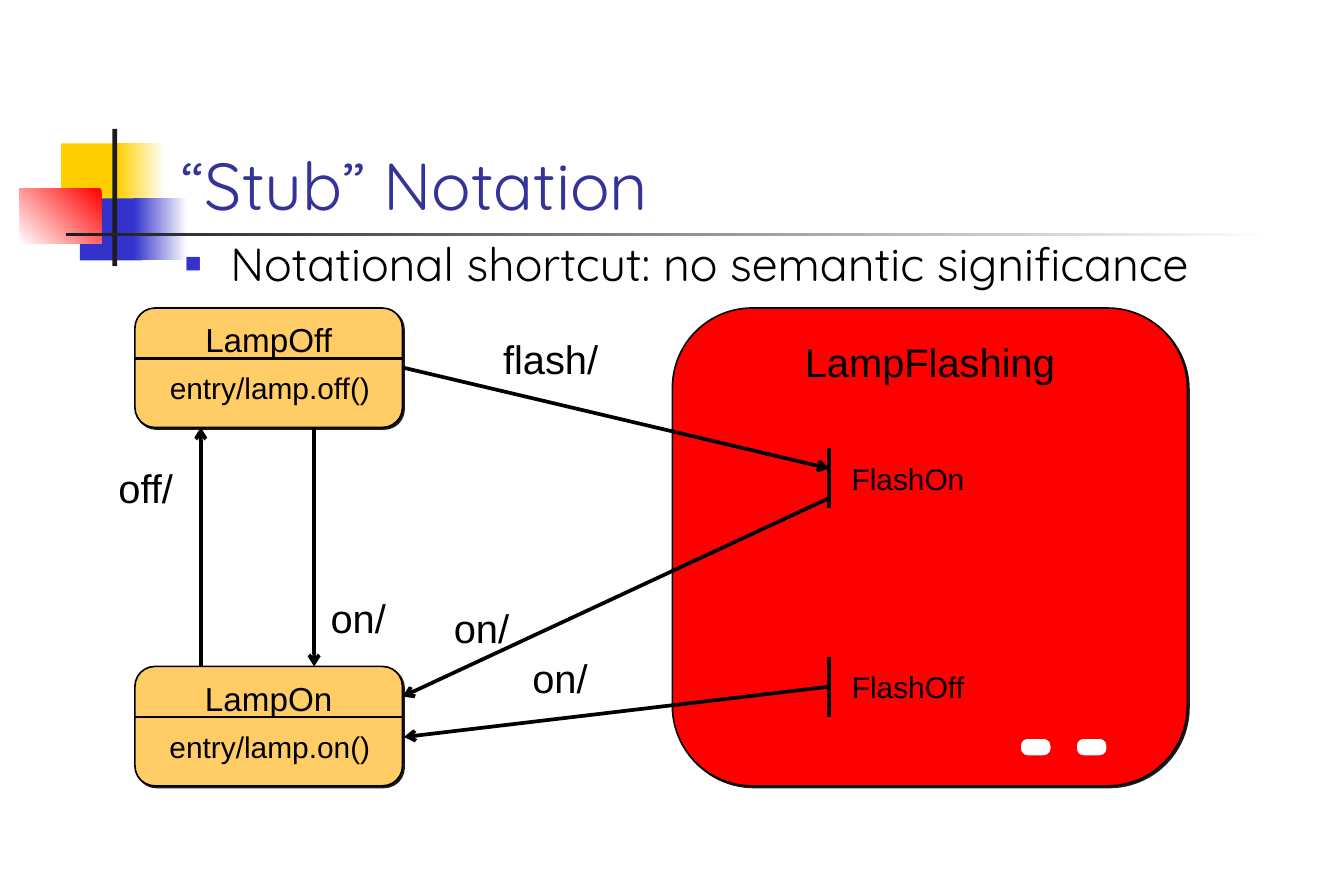
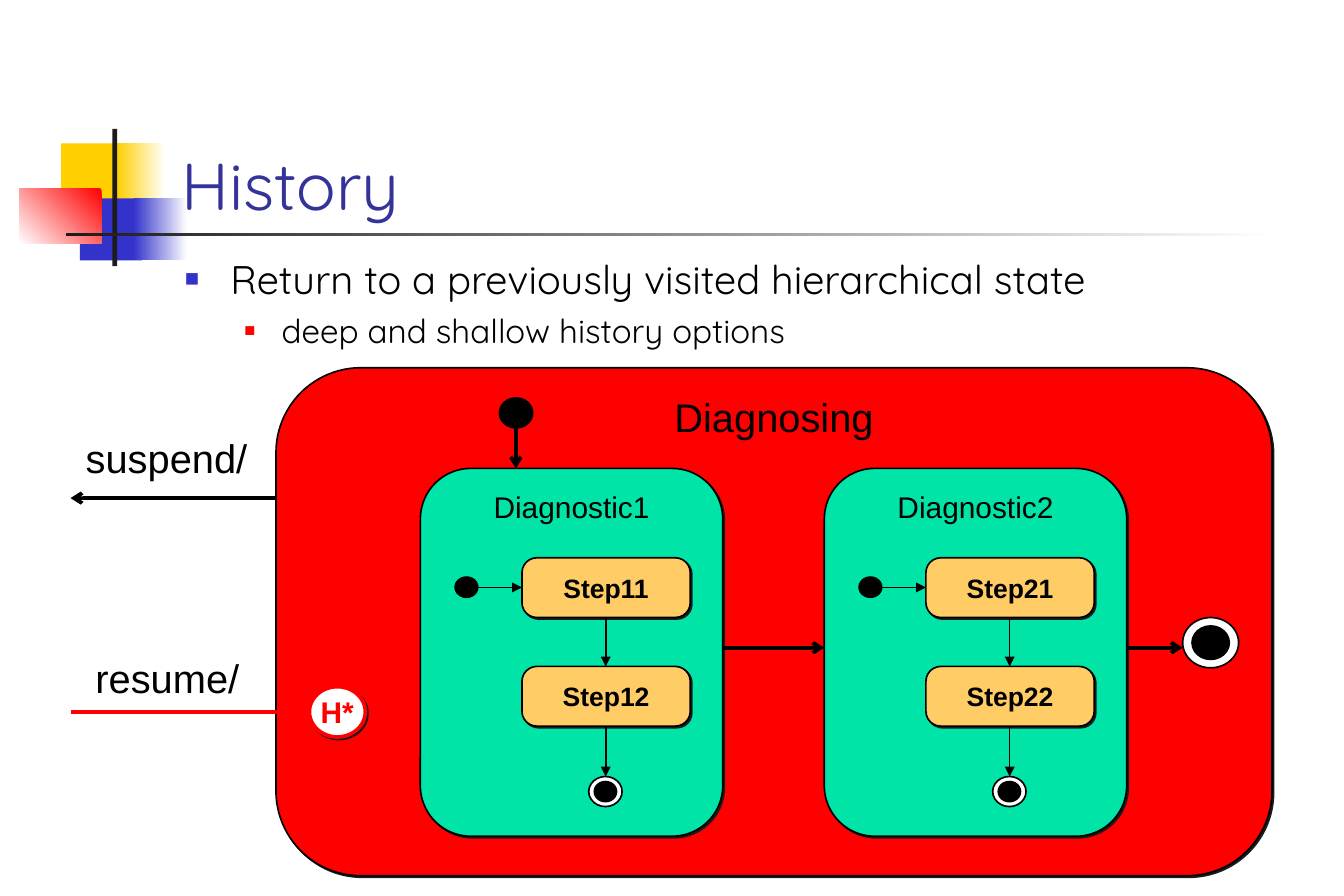
import dataclasses
import typing

import lxml.etree
import pptx
import pptx.dml.color
import pptx.enum.shapes
import pptx.enum.text
import pptx.oxml.ns
import pptx.util

Cm, Pt = pptx.util.Cm, pptx.util.Pt
RGBColor = pptx.dml.color.RGBColor
SHAPE = pptx.enum.shapes.MSO_SHAPE
ANCHOR = pptx.enum.text.MSO_ANCHOR
ALIGN = pptx.enum.text.PP_ALIGN
FIT = pptx.enum.text.MSO_AUTO_SIZE
qn = pptx.oxml.ns.qn

# Shared colours and fonts
BLACK = RGBColor(0x00, 0x00, 0x00)
WHITE = RGBColor(0xFF, 0xFF, 0xFF)
RED = RGBColor(0xFF, 0x00, 0x00)
YELLOW = RGBColor(0xFF, 0xCF, 0x01)
BLUE = RGBColor(0x33, 0x33, 0xCC)
TITLE_BLUE = RGBColor(0x33, 0x33, 0x99)
CHARCOAL = RGBColor(0x1C, 0x1C, 0x1C)
AMBER = RGBColor(0xFF, 0xCC, 0x66)
GREEN = RGBColor(0x00, 0xE4, 0xA8)
HEAD_FONT, LABEL_FONT = "Quicksand", "Arial"
LABEL_SLACK = 0.1  # spare width on each side, so that a label keeps to one line


@dataclasses.dataclass
class Block:
    """A filled shape, in centimetres, with an optional caption."""
    left: float
    top: float
    width: float
    height: float
    fill: RGBColor
    kind: typing.Any = SHAPE.ROUNDED_RECTANGLE
    text: str = ""
    size: float = 18
    bold: bool = False
    color: RGBColor = BLACK
    anchor: typing.Any = ANCHOR.TOP
    line: typing.Optional[RGBColor] = BLACK
    weight: float = 1
    adj: float = 0.167
    shadow: bool = True
    fade_angle: typing.Optional[float] = None


@dataclasses.dataclass
class Label:
    text: str
    left: float
    top: float
    width: float
    size: float = 24


@dataclasses.dataclass
class Line:
    x1: float
    y1: float
    x2: float
    y2: float
    head: str = "arrow"
    weight: float = 2.25
    color: RGBColor = BLACK


@dataclasses.dataclass
class Bullet:
    text: str
    size: float
    level: int
    margin: float
    hang: float
    before: float
    mark: RGBColor
    mark_pct: int


# Decoration behind every slide; fading parts run from their colour to white
DECOR = [
    Block(left, top, width, height, fill, SHAPE.RECTANGLE, line=None, shadow=False, fade_angle=angle)
    for left, top, width, height, fill, angle in [
        (1.3, 3.05, 1.37, 1.32, YELLOW, None),
        (2.49, 3.05, 1.02, 1.32, YELLOW, 0),
        (1.7, 4.22, 1.32, 1.32, BLUE, None),
        (2.84, 4.22, 1.14, 1.32, BLUE, 0),
        (0.41, 4.01, 1.75, 1.17, RED, 225),
        (2.39, 2.74, 0.1, 2.92, CHARCOAL, None),
        (1.4, 4.95, 25.7, 0.08, CHARCOAL, 0),
    ]
]


def apply(obj: typing.Any, values: dict) -> None:
    for name, value in values.items():
        setattr(obj, name, value)


def add_xml(parent: typing.Any, tag: str, **attrs: typing.Any) -> typing.Any:
    return lxml.etree.SubElement(parent, qn(tag), {k: str(v) for k, v in attrs.items()})


def write(p: typing.Any, text: str, color: RGBColor, **font: typing.Any) -> None:
    r = p.add_run()
    r.text = text
    apply(r.font, font)
    r.font.color.rgb = color


def add_block(s: typing.Any, b: Block) -> typing.Any:
    sp = s.shapes.add_shape(b.kind, Cm(b.left), Cm(b.top), Cm(b.width), Cm(b.height))
    sp.shadow.inherit = False
    if b.fade_angle is None:
        sp.fill.solid()
        sp.fill.fore_color.rgb = b.fill
    else:
        sp.fill.gradient()
        sp.fill.gradient_angle = b.fade_angle
        for stop, color in zip(sp.fill.gradient_stops, (b.fill, WHITE)):
            stop.color.rgb = color
    if b.line is None:
        sp.line.fill.background()
    else:
        sp.line.color.rgb = b.line
        sp.line.width = Pt(b.weight)
    if b.kind == SHAPE.ROUNDED_RECTANGLE:
        sp.adjustments[0] = b.adj
    if b.shadow:
        effects = sp.element.spPr.find(qn("a:effectLst"))
        shadow = add_xml(effects, "a:outerShdw", dist=Pt(1.4), dir=45 * 60000, algn="ctr", rotWithShape=0)
        add_xml(shadow, "a:srgbClr", val=CHARCOAL)
    if b.text:
        tf = sp.text_frame
        apply(tf, {"word_wrap": False, "vertical_anchor": b.anchor})
        p = tf.paragraphs[0]
        p.alignment = ALIGN.CENTER
        write(p, b.text, b.color, name=LABEL_FONT, size=Pt(b.size), bold=b.bold)
    return sp


def add_label(s: typing.Any, label: Label) -> None:
    height = Pt(label.size * 1.2) + Cm(0.25)
    tb = s.shapes.add_textbox(Cm(label.left - LABEL_SLACK), Cm(label.top),
                              Cm(label.width + 2 * LABEL_SLACK), height)
    tf = tb.text_frame
    apply(tf, {"word_wrap": False, "vertical_anchor": ANCHOR.MIDDLE, "auto_size": FIT.SHAPE_TO_FIT_TEXT})
    p = tf.paragraphs[0]
    p.alignment = ALIGN.CENTER
    write(p, label.text, BLACK, name=LABEL_FONT, size=Pt(label.size))


def add_line(s: typing.Any, ln: Line) -> None:
    cx = s.shapes.add_connector(pptx.enum.shapes.MSO_CONNECTOR.STRAIGHT,
                                Cm(ln.x1), Cm(ln.y1), Cm(ln.x2), Cm(ln.y2))
    cx.line.color.rgb = ln.color
    cx.line.width = Pt(ln.weight)
    if ln.head:
        add_xml(cx.element.spPr.find(qn("a:ln")), "a:tailEnd", type=ln.head)
    add_xml(cx.element.spPr, "a:effectLst")


def add_dot(s: typing.Any, left: float, top: float, width: float, height: float) -> None:
    add_block(s, Block(left, top, width, height, BLACK, SHAPE.OVAL, shadow=False))


def add_final(s: typing.Any, left: float, top: float, width: float, height: float) -> None:
    """Final state: a dot two thirds the size of its white ring."""
    add_block(s, Block(left, top, width, height, WHITE, SHAPE.OVAL, shadow=False))
    add_dot(s, left + width / 6, top + height / 6, width * 2 / 3, height * 2 / 3)


def add_bullets(s: typing.Any, top: float, bullets: list[Bullet]) -> None:
    tf = s.shapes.add_textbox(Cm(3.68), Cm(top), Cm(24.28), Cm(11.43)).text_frame
    tf.word_wrap = True
    for i, b in enumerate(bullets):
        p = tf.add_paragraph() if i else tf.paragraphs[0]
        apply(p, {"level": b.level, "space_before": Pt(b.before)})
        pPr = p._p.get_or_add_pPr()
        pPr.set("marL", str(Cm(b.margin)))
        pPr.set("indent", str(-Cm(b.hang)))
        add_xml(add_xml(pPr, "a:buClr"), "a:srgbClr", val=b.mark)
        add_xml(pPr, "a:buSzPct", val=b.mark_pct * 1000)
        add_xml(pPr, "a:buFont", typeface=LABEL_FONT)
        add_xml(pPr, "a:buChar", char="■")
        write(p, b.text, BLACK, name=HEAD_FONT, size=Pt(b.size))


def add_slide(prs: typing.Any, title: str) -> typing.Any:
    s = prs.slides.add_slide(prs.slide_layouts[5])
    sp = s.shapes.title
    apply(sp, {"left": Cm(3.61), "top": Cm(1.7), "width": Cm(24.36), "height": Cm(3.18)})
    apply(sp.text_frame, {"vertical_anchor": ANCHOR.BOTTOM, "word_wrap": True, "auto_size": FIT.NONE})
    p = sp.text_frame.paragraphs[0]
    p.alignment = ALIGN.LEFT
    write(p, title, TITLE_BLUE, name=HEAD_FONT, size=Pt(40))
    return s


def move_decor_to_layout(s: typing.Any) -> None:
    """Draw the decoration once and keep it on the shared layout."""
    tree = s.slide_layout.shapes.element
    for i, block in enumerate(DECOR):
        tree.insert(2 + i, add_block(s, block).element)


def add_lamp_state(s: typing.Any, top: float, name: str, action: str) -> None:
    left, width = 2.87, 5.69
    add_block(s, Block(left, top, width, 2.54, AMBER, text=name, size=20))
    add_line(s, Line(left, top + 1.07, left + width, top + 1.07, "", 1.5))
    add_label(s, Label(action, left + 0.48, top + 1.19, 4.78, 18))


def build_stub(prs: typing.Any) -> None:
    s = add_slide(prs, "“Stub” Notation")
    move_decor_to_layout(s)
    add_bullets(s, 4.88, [
        Bullet("Notational shortcut: no semantic significance", 28, 0, 0.97, 0.97, 0, BLUE, 60)])
    add_block(s, Block(14.3, 6.55, 10.95, 10.16, RED, text="LampFlashing", size=24))
    # Stubs inside the flashing state
    stub_x = 17.63
    for top, name in [(9.53, "FlashOn"), (13.97, "FlashOff")]:
        add_line(s, Line(stub_x, top, stub_x, top + 1.27, ""))
        add_label(s, Label(name, 17.86, top + 0.13, 2.9, 18))
    # Lamp states and transitions
    add_lamp_state(s, 6.55, "LampOff", "entry/lamp.off()")
    add_lamp_state(s, 14.17, "LampOn", "entry/lamp.on()")
    for ln in [
        Line(8.59, 7.82, stub_x, 9.96),
        Line(stub_x, 14.6, 8.59, 15.67),
        Line(stub_x, 10.59, 8.56, 14.81),
        Line(4.27, 14.17, 4.27, 9.09),
        Line(6.68, 9.09, 6.68, 14.17),
    ]:
        add_line(s, ln)
    for label in [
        Label("flash/", 10.31, 6.99, 2.8),
        Label("off/", 2.26, 9.73, 1.68),
        Label("on/", 6.78, 12.5, 1.68),
        Label("on/", 9.4, 12.7, 1.68),
        Label("on/", 11.07, 13.77, 1.68),
    ]:
        add_label(s, label)
    # Hidden-content marks
    for left in (21.67, 22.86):
        add_block(s, Block(left, 15.67, 0.71, 0.43, WHITE, line=RED, weight=2.25, adj=0.417, shadow=False))


def add_diagnostic(s: typing.Any, left: float, number: int) -> None:
    add_block(s, Block(left, 9.96, 6.43, 7.82, GREEN, text=f"Diagnostic{number}"))
    for step, top in enumerate((11.86, 14.17), 1):
        add_block(s, Block(left + 2.16, top, 3.58, 1.27, AMBER, text=f"Step{number}{step}", size=16,
                           bold=True, anchor=ANCHOR.MIDDLE, adj=0.25))
    add_final(s, left + 3.58, 16.51, 0.71, 0.64)
    add_dot(s, left + 0.74, 12.27, 0.48, 0.43)
    mid = left + 3.94
    for x1, y1, x2, y2 in [(left + 1.21, 12.49, left + 2.16, 12.49),
                           (mid, 13.13, mid, 14.17), (mid, 15.44, mid, 16.51)]:
        add_line(s, Line(x1, y1, x2, y2, "triangle", 1))


def build_history(prs: typing.Any) -> None:
    s = add_slide(prs, "History")
    add_bullets(s, 5.28, [
        Bullet("Return to a previously visited hierarchical state", 24, 0, 0.97, 0.97, 0, BLUE, 60),
        Bullet("deep and shallow history options", 20, 1, 2.06, 0.79, 5, RED, 55)])
    sp = add_block(s, Block(5.87, 7.82, 21.18, 10.8, RED, text="Diagnosing", size=24))
    sp.text_frame.margin_top = 0
    # Nested states
    for number, left in enumerate((8.94, 17.53), 1):
        add_diagnostic(s, left, number)
    add_dot(s, 10.62, 8.46, 0.71, 0.64)
    add_final(s, 25.15, 13.13, 1.19, 1.07)
    # Transitions
    for ln in [
        Line(5.87, 10.59, 1.5, 10.59),
        Line(10.97, 9.1, 10.97, 9.96),
        Line(15.37, 13.77, 17.53, 13.77),
        Line(23.96, 13.77, 25.15, 13.77),
        Line(1.5, 15.14, 6.58, 15.14, color=RED),
    ]:
        add_line(s, ln)
    add_label(s, Label("suspend/", 1.57, 9.09, 3.94))
    add_label(s, Label("resume/", 1.78, 13.77, 3.56))
    add_block(s, Block(6.58, 14.6, 1.19, 1.07, WHITE, SHAPE.OVAL, "H*", 18, True, RED,
                       ANCHOR.MIDDLE, RED, 2.25))


def main() -> None:
    prs = pptx.Presentation()
    apply(prs, {"slide_width": Cm(28.58), "slide_height": Cm(19.05)})
    build_stub(prs)
    build_history(prs)
    prs.save("out.pptx")


if __name__ == "__main__":
    main()
